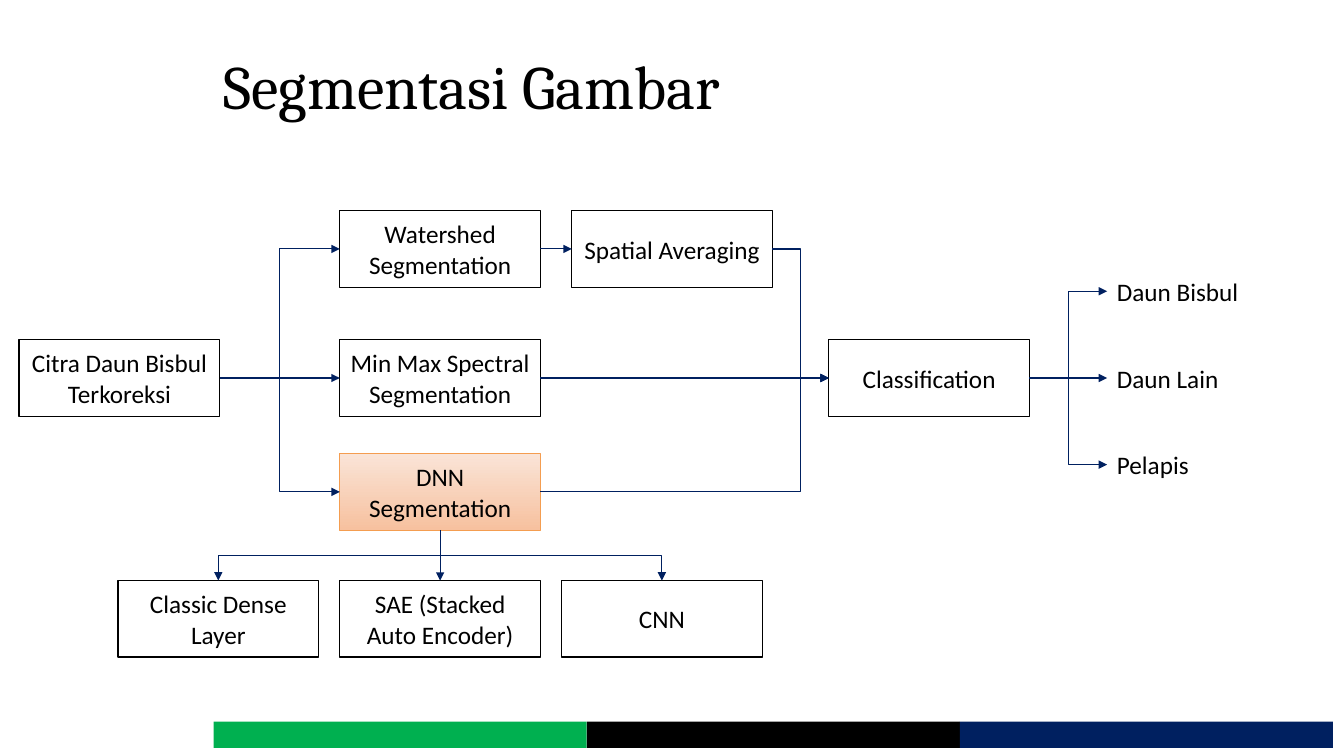
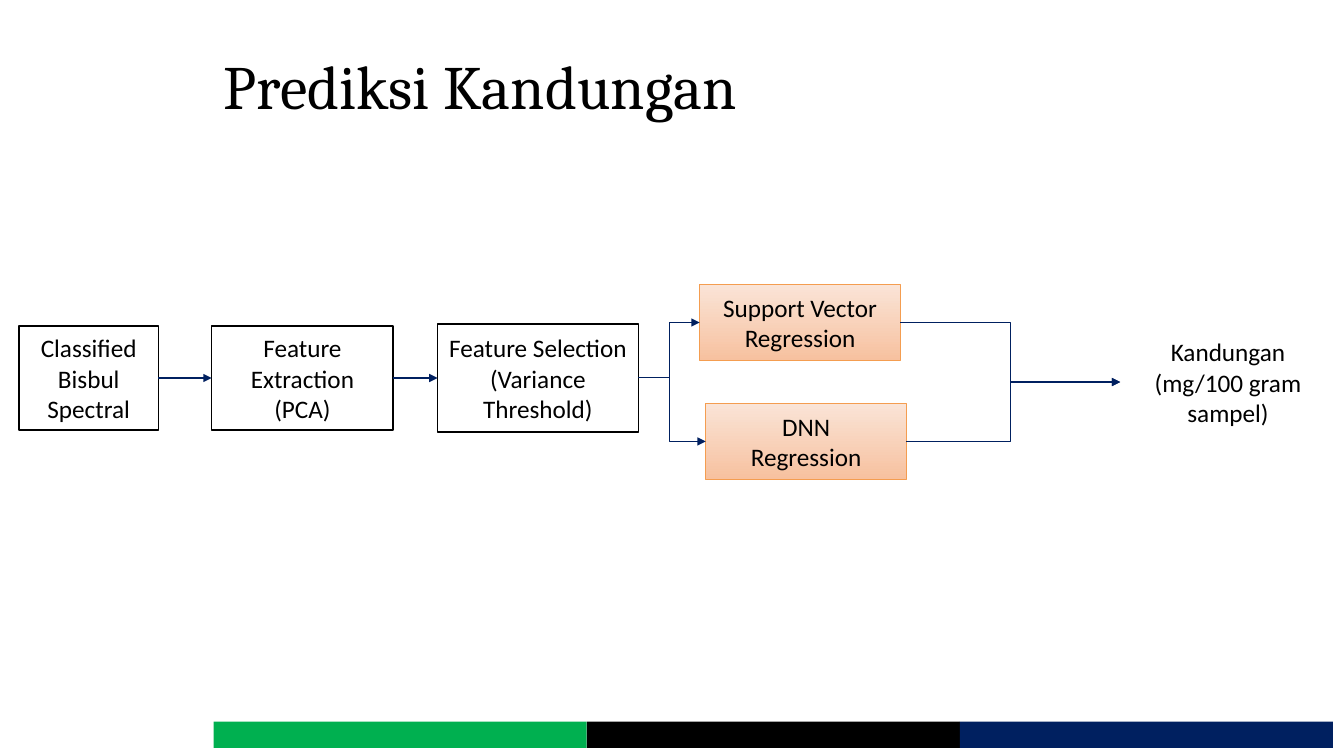
import pptx
import pptx.dml.color
import pptx.enum.shapes
import pptx.enum.text
import pptx.oxml
import pptx.oxml.ns
import pptx.util

Inches = pptx.util.Inches
Pt = pptx.util.Pt
RGBColor = pptx.dml.color.RGBColor
ALIGN = pptx.enum.text.PP_ALIGN
MIDDLE = pptx.enum.text.MSO_ANCHOR.MIDDLE
RECTANGLE = pptx.enum.shapes.MSO_SHAPE.RECTANGLE
CONNECTOR = pptx.enum.shapes.MSO_CONNECTOR
qn = pptx.oxml.ns.qn

GREEN = RGBColor(0x00, 0xB0, 0x50)
BLACK = RGBColor(0x00, 0x00, 0x00)
NAVY = RGBColor(0x00, 0x20, 0x60)
WHITE = RGBColor(0xFF, 0xFF, 0xFF)
PEACH_LIGHT = RGBColor(0xFA, 0xE4, 0xD7)
PEACH_DARK = RGBColor(0xF7, 0xC1, 0x9F)
ORANGE = RGBColor(0xF4, 0x9D, 0x50)

TITLE_FONT, BODY_FONT = "Cambria", "Calibri"
CONTENT_LEFT = 2.12
NODE_WIDTH, NODE_HEIGHT = 1.99, 0.76
# Connection sites of a rectangle
TOP, LEFT, BOTTOM, RIGHT = range(4)


def add_footer_bands(slide, layout):
    """Draw the three colour bands and move them to the shared layout."""
    width = 3.7
    for index, color in enumerate((GREEN, BLACK, NAVY)):
        band = slide.shapes.add_shape(
            RECTANGLE, Inches(CONTENT_LEFT + index * width), Inches(7.16),
            Inches(width), Inches(0.26))
        band.shadow.inherit = False
        band.fill.solid()
        band.fill.fore_color.rgb = color
        band.line.fill.background()
        layout.shapes.element.append(band.element)


def add_titled_slide(presentation, layout, title):
    slide = presentation.slides.add_slide(layout)
    shape = slide.shapes.title
    shape.left, shape.top = Inches(CONTENT_LEFT), Inches(0.3)
    shape.width, shape.height = Inches(11.06), Inches(1.18)
    frame = shape.text_frame
    frame.text = title
    frame.vertical_anchor = MIDDLE
    frame.auto_size = pptx.enum.text.MSO_AUTO_SIZE.NONE
    paragraph = frame.paragraphs[0]
    paragraph.alignment = ALIGN.LEFT
    paragraph.line_spacing = 0.9
    format_font(paragraph.font, TITLE_FONT, 44)
    return slide


def format_font(font, name, size):
    font.name = name
    font.size = Pt(size)
    font.color.rgb = BLACK


def fill_text(shape, text, alignment):
    frame = shape.text_frame
    frame.text = text
    frame.word_wrap = True
    frame.vertical_anchor = MIDDLE
    for paragraph in frame.paragraphs:
        paragraph.alignment = alignment
        format_font(paragraph.font, BODY_FONT, 18)


def add_node(slide, text, left, middle, width=NODE_WIDTH, height=NODE_HEIGHT,
             highlighted=False):
    """Add a process box centred vertically on middle."""
    node = slide.shapes.add_shape(
        RECTANGLE, Inches(left), Inches(middle - height / 2),
        Inches(width), Inches(height))
    node.shadow.inherit = False
    if highlighted:
        node.fill.gradient()
        node.fill.gradient_angle = 270
        stops = node.fill.gradient_stops
        for stop, position, color in zip(stops, (0, 1), (PEACH_LIGHT, PEACH_DARK)):
            stop.position = position
            stop.color.rgb = color
    else:
        node.fill.solid()
        node.fill.fore_color.rgb = WHITE
    node.line.color.rgb = ORANGE if highlighted else BLACK
    node.line.width = Pt(0.75 if highlighted else 1)
    fill_text(node, text, ALIGN.CENTER)
    return node


def add_label(slide, text, left, middle, width, height, alignment=ALIGN.LEFT):
    """Add a result without an outline, centred vertically on middle."""
    label = slide.shapes.add_textbox(
        Inches(left), Inches(middle - height / 2), Inches(width), Inches(height))
    fill_text(label, text, alignment)
    return label


def site_position(shape, site):
    x = {LEFT: 0, RIGHT: shape.width}.get(site, shape.width // 2)
    y = {TOP: 0, BOTTOM: shape.height}.get(site, shape.height // 2)
    return shape.left + x, shape.top + y


def connect(slide, source, target, start=RIGHT, end=LEFT, trunk=None):
    """Glue an arrow between two shapes; trunk is the x of its vertical run."""
    x1, y1 = site_position(source, start)
    x2, y2 = site_position(target, end)
    vertical = start == BOTTOM
    offset = x2 - x1 if vertical else y2 - y1
    straight = abs(offset) < Inches(0.01)
    if straight:
        x2, y2 = (x1, y2) if vertical else (x2, y1)
    kind = CONNECTOR.STRAIGHT if straight else CONNECTOR.ELBOW
    arrow = slide.shapes.add_connector(kind, x1, y1, x2, y2)
    arrow.begin_connect(source, start)
    arrow.end_connect(target, end)
    properties = arrow.element.spPr

    # A downward elbow is a sideways elbow turned by a quarter
    if vertical and not straight:
        length, spread = y2 - y1, abs(offset)
        arrow.left = (x1 + x2 - length) // 2
        arrow.top = (y1 + y2 - spread) // 2
        arrow.width, arrow.height = length, spread
        transform = properties.find(qn("a:xfrm"))
        transform.set("rot", str((90 if offset < 0 else 270) * 60000))
        transform.set("flipH", "0" if offset < 0 else "1")
        transform.set("flipV", "0")
    if trunk is not None:
        geometry = properties.find(qn("a:prstGeom"))
        guides = geometry.find(qn("a:avLst"))
        if guides is None:
            guides = pptx.oxml.parse_xml(
                f'<a:avLst {pptx.oxml.ns.nsdecls("a")}/>')
            geometry.append(guides)
        guide = guides.makeelement(qn("a:gd"), {
            "name": "adj1",
            "fmla": f"val {round((Inches(trunk) - x1) / (x2 - x1) * 100000)}"})
        guides.append(guide)

    arrow.line.color.rgb = NAVY
    arrow.line.width = Pt(0.75)
    line = properties.find(qn("a:ln"))
    line.append(line.makeelement(qn("a:tailEnd"), {"type": "triangle"}))
    properties.append(properties.makeelement(qn("a:effectLst"), {}))


def add_segmentation_flow(slide, left, middle):
    """Input image, three segmentation methods and the classifier."""
    source = add_node(slide, "Citra Daun Bisbul\nTerkoreksi", left, middle)
    method_left = left + 3.18
    watershed, spectral, deep = [
        add_node(slide, text, method_left, middle + offset,
                 highlighted=text.startswith("DNN"))
        for text, offset in (("Watershed Segmentation", -1.28),
                             ("Min Max Spectral Segmentation", 0),
                             ("DNN Segmentation", 1.13))]
    averaging = add_node(slide, "Spatial Averaging", left + 5.48, middle - 1.28)
    classifier = add_node(slide, "Classification", left + 8.03, middle)
    for method in (watershed, spectral, deep):
        connect(slide, source, method)
    connect(slide, watershed, averaging)
    connect(slide, spectral, classifier)
    for method in (averaging, deep):
        connect(slide, method, classifier, trunk=left + 7.75)
    return deep, classifier


def add_classes(slide, classifier, left, middle):
    """Class labels reached from the classifier."""
    for index, text in enumerate(("Daun Bisbul", "Daun Lain", "Pelapis")):
        label = add_label(slide, text, left, middle + (index - 1) * 0.86, 1.53, 0.4)
        connect(slide, classifier, label)


def add_network_types(slide, parent, left, middle):
    """Network variants below the deep segmentation box."""
    names = ("Classic Dense Layer", "SAE (Stacked Auto Encoder)", "CNN")
    for index, text in enumerate(names):
        node = add_node(slide, text, left + index * 2.2, middle)
        connect(slide, parent, node, BOTTOM, TOP)


def add_prediction_flow(slide, left, middle):
    """Spectral features, two regressions and the predicted content."""
    spectral = add_node(slide, "Classified\nBisbul Spectral", left, middle, 1.38, 1.03)
    extraction = add_node(slide, "Feature Extraction (PCA)", left + 1.91, middle,
                          1.8, 1.03)
    selection = add_node(slide, "Feature Selection\n(Variance Threshold)",
                         left + 4.15, middle, height=1.07)
    content = add_label(slide, "Kandungan\n(mg/100 gram sampel)", left + 10.92,
                        middle + 0.04, 2.14, 1.01, ALIGN.CENTER)
    connect(slide, spectral, extraction)
    connect(slide, extraction, selection)
    for text, offset_x, offset_y in (("Support Vector\nRegression", 6.75, -0.55),
                                     ("DNN\nRegression", 6.81, 0.63)):
        regression = add_node(slide, text, left + offset_x, middle + offset_y,
                              highlighted=True)
        connect(slide, selection, regression, trunk=left + 6.45)
        connect(slide, regression, content, trunk=left + 9.83)


def main():
    presentation = pptx.Presentation()
    presentation.slide_width = Inches(13.33)
    presentation.slide_height = Inches(7.5)
    layout = presentation.slide_layouts[5]

    segmentation = add_titled_slide(presentation, layout, "Segmentasi Gambar")
    add_footer_bands(segmentation, layout)
    deep, classifier = add_segmentation_flow(segmentation, 0.19, 3.75)
    add_classes(segmentation, classifier, 10.98, 3.75)
    add_network_types(segmentation, deep, 1.17, 6.14)

    prediction = add_titled_slide(presentation, layout, "Prediksi Kandungan")
    add_prediction_flow(prediction, 0.19, 3.75)

    presentation.save("out.pptx")


if __name__ == "__main__":
    main()
